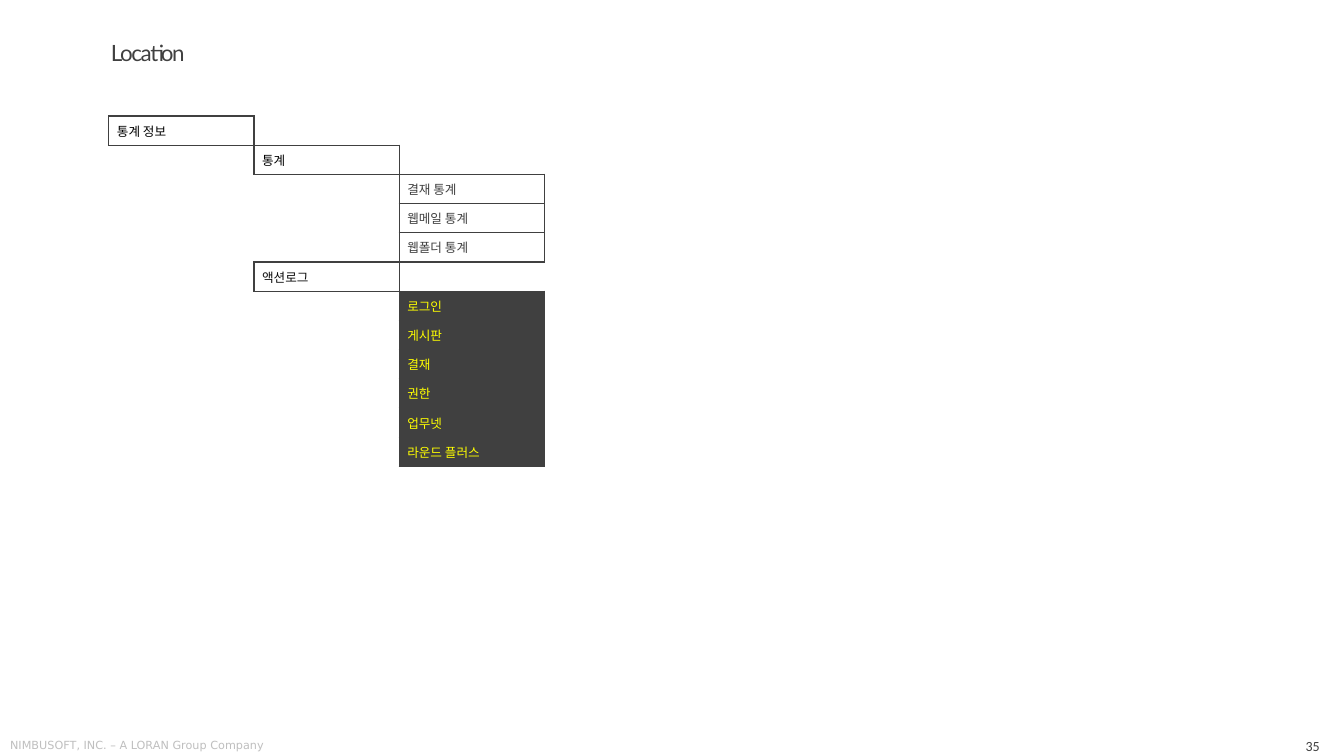
import lxml.etree
import pptx
import pptx.dml.color
import pptx.enum.text
import pptx.oxml.ns
import pptx.util

Inches, Pt = pptx.util.Inches, pptx.util.Pt
ANCHOR = pptx.enum.text.MSO_ANCHOR
ALIGN = pptx.enum.text.PP_ALIGN
qn = pptx.oxml.ns.qn

COLORS = {
    "dark": "404040",
    "black": "000000",
    "ink": "0D0D0D",
    "white": "FFFFFF",
    "yellow": "FFFF00",
    "pale": "BFBFBF",
}
MENU_FONT = "Noto Sans CJK KR"
# level, label, text color, fill color
MENU = [
    (0, "통계 정보", "black", None),
    (1, "통계", "black", "white"),
    *[(2, label, "dark", "white")
      for label in ("결재 통계", "웹메일 통계", "웹폴더 통계")],
    (1, "액션로그", "ink", None),
    *[(2, label, "yellow", "dark")
      for label in ("로그인", "게시판", "결재", "권한", "업무넷", "라운드 플러스")],
]
COLS, COL_W, ROW_H = 4, 1.44, 0.29


def rgb(name):
    return pptx.dml.color.RGBColor.from_string(COLORS[name])


def set_font(par, name, size, color):
    par.font.size = Pt(size)
    par.font.name = name
    par.font.color.rgb = rgb(color)


def set_insets(frame, side, top):
    frame.margin_left = frame.margin_right = Inches(side)
    frame.margin_top = frame.margin_bottom = Inches(top)


def add_title(slide, text):
    title = slide.shapes.title
    title.left, title.top = Inches(1.1), Inches(0.42)
    title.width, title.height = Inches(9.37), Inches(0.36)
    frame = title.text_frame
    frame.text = text
    frame.auto_size = pptx.enum.text.MSO_AUTO_SIZE.NONE
    frame.vertical_anchor = ANCHOR.TOP
    set_insets(frame, 0, 0)
    par = frame.paragraphs[0]
    par.alignment = ALIGN.LEFT
    par.line_spacing = 0.9
    par.space_before = Pt(10)
    set_font(par, "Lato", 16, "dark")
    par.runs[0].font._element.set("spc", "-100")


def add_note(slide, text, left, top, width, font, size, color, align, anchor):
    box = slide.shapes.add_textbox(
        Inches(left), Inches(top), Inches(width), Inches(0.21))
    frame = box.text_frame
    frame.word_wrap = False
    frame.vertical_anchor = anchor
    set_insets(frame, 0.04, 0.05)
    par = frame.paragraphs[0]
    par.text = text
    par.alignment = align
    set_font(par, font, size, color)


def add_edge(cell, side, drawn):
    line = lxml.etree.SubElement(
        cell._tc.get_or_add_tcPr(), qn("a:ln" + side), w=str(Pt(1)))
    if drawn:
        fill = lxml.etree.SubElement(line, qn("a:solidFill"))
        lxml.etree.SubElement(fill, qn("a:srgbClr"), val=COLORS["dark"])
    else:
        lxml.etree.SubElement(line, qn("a:noFill"))


def fill_cell(cell, label, color, fill):
    set_insets(cell, 0, 0)
    cell.margin_left = Inches(0.08)
    cell.vertical_anchor = ANCHOR.MIDDLE
    par = cell.text_frame.paragraphs[0]
    if label:
        par.text = label
        set_font(par, MENU_FONT, 9, color)
        lxml.etree.SubElement(par.font._element, qn("a:ea"), typeface=MENU_FONT)
    else:
        par._p.get_or_add_endParaRPr().set("sz", "900")
    if fill:
        cell.fill.solid()
        cell.fill.fore_color.rgb = rgb(fill)
    else:
        cell.fill.background()


def add_menu(slide):
    """Draw the menu tree; an edge shows where it touches a labelled cell."""
    rows = len(MENU)
    table = slide.shapes.add_table(
        rows, COLS, Inches(1.08), Inches(1.15),
        Inches(COLS * COL_W), Inches(rows * ROW_H)).table
    table.first_row = table.horz_banding = False
    for col in table.columns:
        col.width = Inches(COL_W)
    for row in table.rows:
        row.height = Inches(ROW_H)

    used = {(row, item[0]) for row, item in enumerate(MENU)}
    sides = {"L": (0, -1), "R": (0, 1), "T": (-1, 0), "B": (1, 0)}
    for row, (level, label, color, fill) in enumerate(MENU):
        for col in range(COLS):
            cell = table.cell(row, col)
            for side, (down, right) in sides.items():
                near = {(row, col), (row + down, col + right)}
                add_edge(cell, side, bool(near & used))
            if col == level:
                fill_cell(cell, label, color, fill)
            else:
                fill_cell(cell, "", None, None)


def main():
    deck = pptx.Presentation()
    deck.slide_width, deck.slide_height = Inches(13.33), Inches(7.5)
    slide = deck.slides.add_slide(deck.slide_layouts[5])
    add_note(slide, "35", 12.42, 7.29, 0.71, "Calibri", 10, "dark",
             ALIGN.RIGHT, ANCHOR.MIDDLE)
    add_note(slide, "NIMBUSOFT, INC. – A LORAN Group Company", 0.06, 7.28, 3.59,
             "DejaVu Sans", 8, "pale", ALIGN.LEFT, ANCHOR.TOP)
    add_title(slide, "Location")
    add_menu(slide)
    deck.save("out.pptx")


if __name__ == "__main__":
    main()
